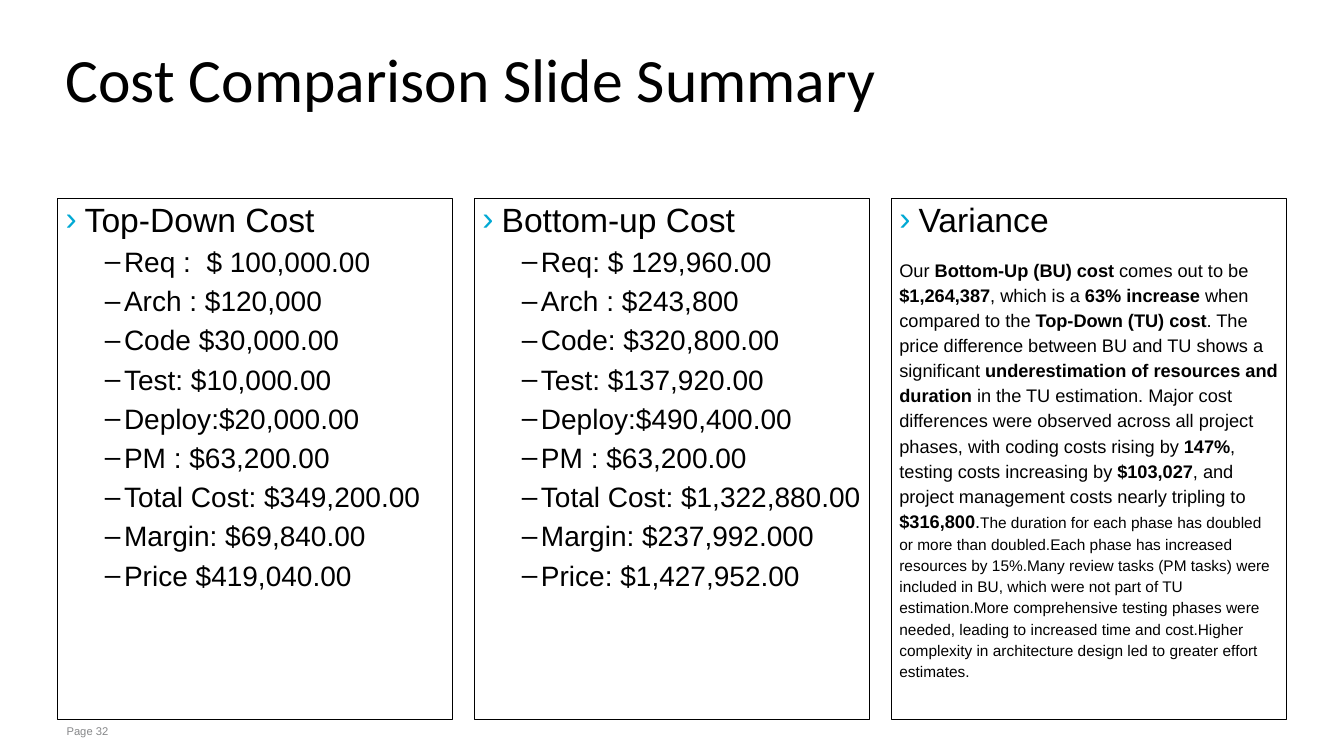
import pptx
import pptx.util
import pptx.dml.color
import pptx.enum.text
import pptx.oxml
import pptx.oxml.ns

BLACK = pptx.dml.color.RGBColor(0x00, 0x00, 0x00)
CYAN = pptx.dml.color.RGBColor(0x00, 0xA9, 0xD4)
GREY = pptx.dml.color.RGBColor(0x87, 0x88, 0x8A)

TOP_DOWN = ["Req :  $ 100,000.00", "Arch : $120,000", "Code $30,000.00",
            "Test: $10,000.00", "Deploy:$20,000.00", "PM : $63,200.00",
            "Total Cost: $349,200.00", "Margin: $69,840.00", "Price $419,040.00"]
BOTTOM_UP = ["Req: $ 129,960.00", "Arch : $243,800", "Code: $320,800.00",
             "Test: $137,920.00", "Deploy:$490,400.00", "PM : $63,200.00",
             "Total Cost: $1,322,880.00", "Margin: $237,992.000",
             "Price: $1,427,952.00"]
VARIANCE = (
    "Our **Bottom-Up (BU) cost** comes out to be **$1,264,387**, which is a "
    "**63% increase** when compared to the **Top-Down (TU) cost**. The price "
    "difference between BU and TU shows a significant **underestimation of "
    "resources and duration** in the TU estimation. Major cost differences were "
    "observed across all project phases, with coding costs rising by **147%**, "
    "testing costs increasing by **$103,027**, and project management costs "
    "nearly tripling to **$316,800**.")
REASONS = (
    "The duration for each phase has doubled or more than doubled."
    "Each phase has increased resources by 15%."
    "Many review tasks (PM tasks) were included in BU, which were not part of "
    "TU estimation.More comprehensive testing phases were needed, leading to "
    "increased time and cost.Higher complexity in architecture design led to "
    "greater effort estimates.")


def add_text(p, text, size, font="Arial", color=BLACK):
    for i, part in enumerate(text.split("**")):
        r = p.add_run()
        r.text = part
        r.font.name = font
        r.font.size = pptx.util.Pt(size)
        r.font.bold = i % 2 == 1
        r.font.color.rgb = color


class Deck:
    """Holds the grid, the text style and the current slide."""

    LEFT, TOP, COL, GAP, HEIGHT = 0.57, 1.97, 3.92, 0.215, 5.17
    HANG = 0.19

    def __init__(self, prs):
        self.s = prs.slides.add_slide(prs.slide_layouts[4])

    def place(self, sp, left, top, width, height, anchor, inset=0):
        sp.left, sp.top, sp.width, sp.height = (
            pptx.util.Inches(v) for v in (left, top, width, height))
        tf = sp.text_frame
        tf.word_wrap = True
        tf.auto_size = pptx.enum.text.MSO_AUTO_SIZE.NONE
        tf.vertical_anchor = anchor
        tf.margin_left = tf.margin_right = pptx.util.Inches(0.08)
        tf.margin_top = tf.margin_bottom = pptx.util.Inches(inset)
        return tf

    def format(self, p, before=0, spacing=1.0, indent=0, bullet=None, color=BLACK):
        p.alignment = pptx.enum.text.PP_ALIGN.LEFT
        p.space_before = pptx.util.Pt(before)
        p.space_after = pptx.util.Pt(0)
        p.line_spacing = spacing
        pPr = p._p.get_or_add_pPr()
        hang = -self.HANG if bullet else 0
        pPr.set("marL", str(pptx.util.Inches(indent)))
        pPr.set("indent", str(pptx.util.Inches(hang)))
        ns = pptx.oxml.ns.nsdecls("a")
        marks = [f"<a:buNone {ns}/>"]
        if bullet:
            marks = [f'<a:buClr {ns}><a:srgbClr val="{color}"/></a:buClr>',
                     f'<a:buFont {ns} typeface="Arial"/>',
                     f'<a:buChar {ns} char="{bullet}"/>']
        for mark in marks:
            pPr.append(pptx.oxml.parse_xml(mark))

    def title(self, text):
        tf = self.place(self.s.shapes.title, self.LEFT, 0.26, 10.93, 1.19,
                        pptx.enum.text.MSO_ANCHOR.MIDDLE)
        p = tf.paragraphs[0]
        self.format(p, spacing=0.75)
        add_text(p, text, 44, font="Calibri")

    def panel(self, col, heading):
        sp = self.s.placeholders[col + 1]
        tf = self.place(sp, self.LEFT + col * (self.COL + self.GAP), self.TOP,
                        self.COL, self.HEIGHT, pptx.enum.text.MSO_ANCHOR.TOP)
        sp.line.color.rgb = BLACK
        sp.line.width = pptx.util.Pt(0.75)
        p = tf.paragraphs[0]
        self.format(p, indent=self.HANG, bullet="›", color=CYAN)
        add_text(p, heading, 24)
        return tf

    def costs(self, col, heading, items):
        tf = self.panel(col, heading)
        for item in items:
            p = tf.add_paragraph()
            p.level = 1
            self.format(p, before=4, indent=0.58, bullet="–")
            add_text(p, item, 20)

    def summary(self, col, heading, text, detail):
        p = self.panel(col, heading).add_paragraph()
        self.format(p, before=12, spacing=1.15)
        add_text(p, text, 13)
        add_text(p, detail, 11)

    def page(self, text):
        sp = self.s.shapes.add_textbox(0, 0, 0, 0)
        tf = self.place(sp, 0.58, self.TOP + self.HEIGHT, 10.79, 0.24,
                        pptx.enum.text.MSO_ANCHOR.TOP, inset=0.05)
        add_text(tf.paragraphs[0], text, 8, color=GREY)

    def drop_empty(self):
        for sp in list(self.s.placeholders):
            if not sp.text_frame.text:
                sp._element.getparent().remove(sp._element)


def main():
    prs = pptx.Presentation()
    prs.slide_width = pptx.util.Inches(13.33)
    prs.slide_height = pptx.util.Inches(7.5)
    deck = Deck(prs)
    deck.title("Cost Comparison Slide Summary")
    deck.costs(0, "Top-Down Cost", TOP_DOWN)
    deck.costs(1, "Bottom-up Cost", BOTTOM_UP)
    deck.summary(2, "Variance", VARIANCE, REASONS)
    deck.page("Page 32")
    deck.drop_empty()
    prs.save("out.pptx")


if __name__ == "__main__":
    main()
